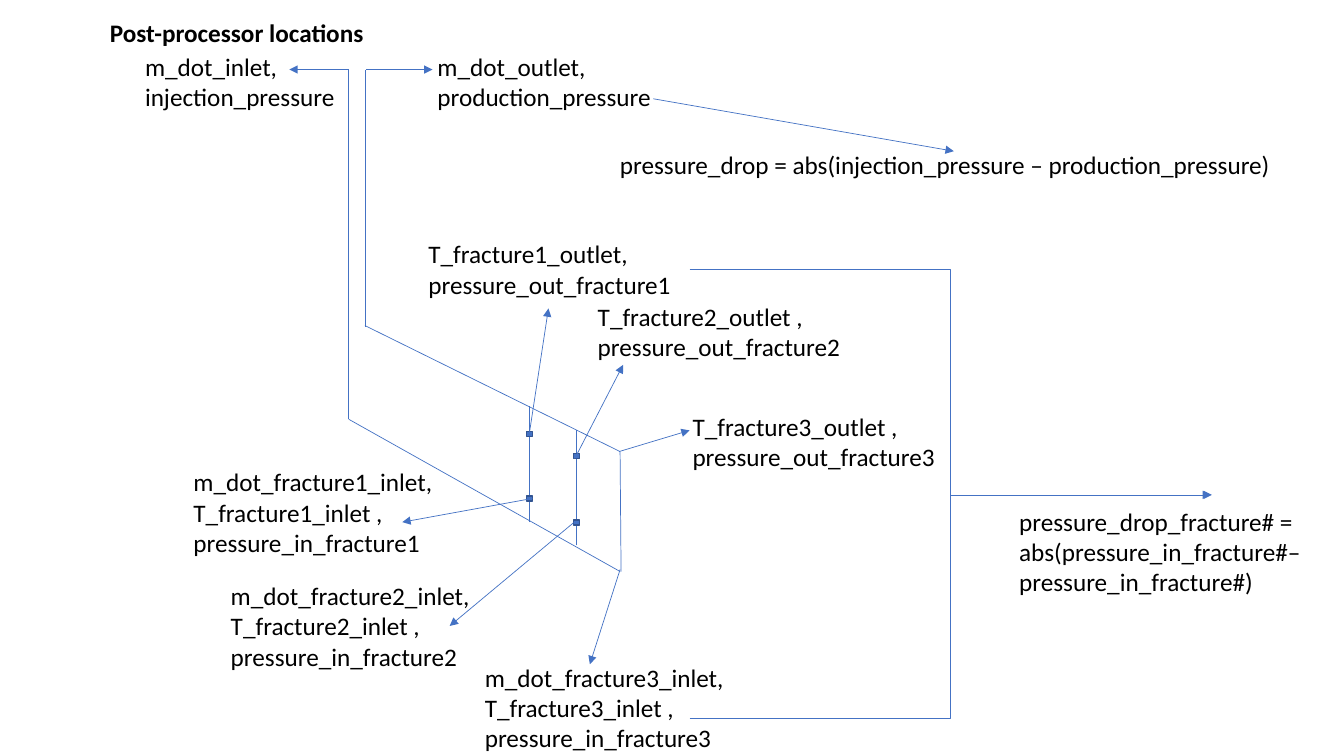
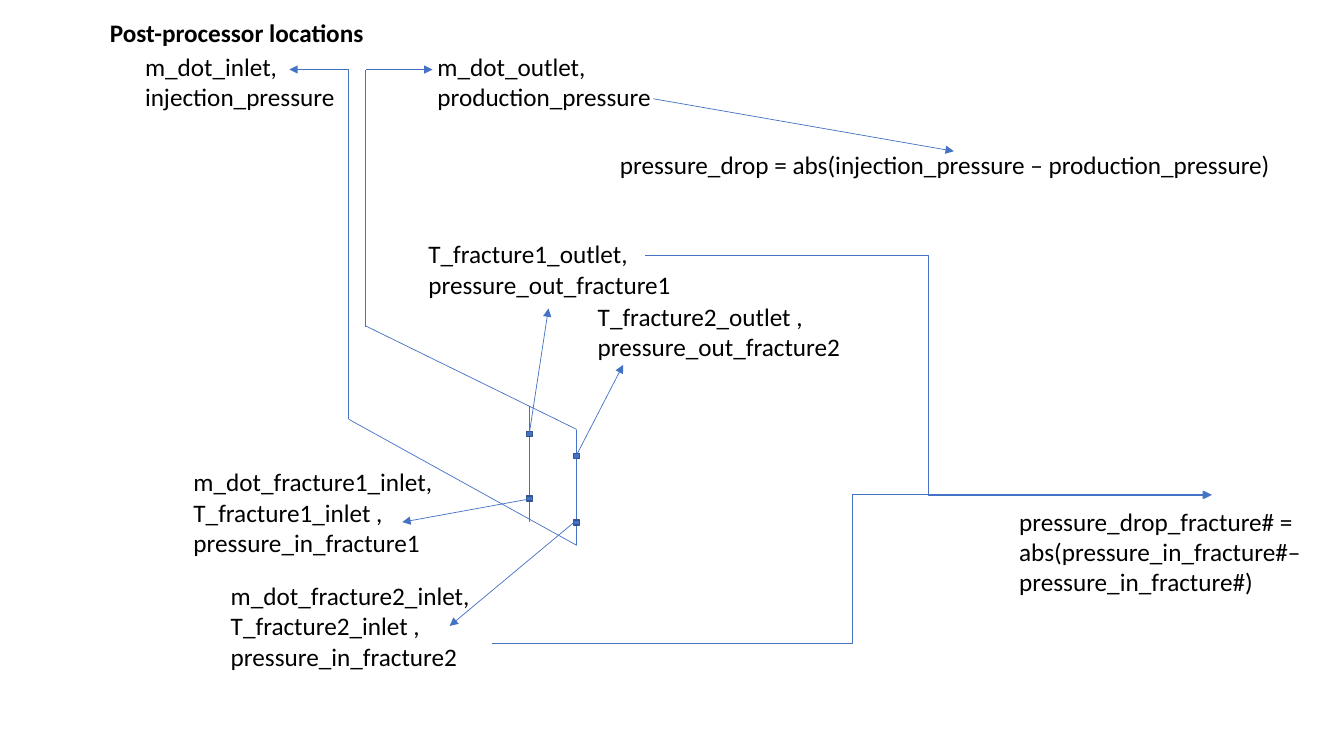
from lxml.etree import SubElement
from pptx import Presentation
from pptx.dml.color import RGBColor
from pptx.enum.shapes import MSO_CONNECTOR, MSO_SHAPE
from pptx.enum.text import MSO_ANCHOR, MSO_AUTO_SIZE, PP_ALIGN
from pptx.oxml.ns import qn
from pptx.util import Inches, Pt

BLUE, EDGE, BLACK = "4472C4", "325491", "000000"
LEFT, RIGHT = 1, 3
LINE_H, PAD_H = 0.3, 0.1


def rgb(value):
    return RGBColor.from_string(value)


class Deck:
    font = {"name": "Calibri", "size": Pt(18), "bold": False}
    frame = {"word_wrap": True, "auto_size": MSO_AUTO_SIZE.SHAPE_TO_FIT_TEXT,
             "vertical_anchor": MSO_ANCHOR.TOP}

    def __init__(self):
        self.prs = Presentation()
        self.prs.slide_width = Inches(13.33)
        self.prs.slide_height = Inches(7.5)
        self.s = None

    def slide(self, title):
        self.s = self.prs.slides.add_slide(self.prs.slide_layouts[5])
        sp = self.s.shapes.title
        box = {"left": 0.99, "top": 0.12, "width": 5.86, "height": 0.4}
        for name, value in box.items():
            setattr(sp, name, Inches(value))
        self.fill_text(sp.text_frame, [title], bold=True)

    def fill_text(self, tf, lines, **extra):
        for name, value in self.frame.items():
            setattr(tf, name, value)
        tf.text = "\n".join(lines)
        for p in tf.paragraphs:
            p.alignment = PP_ALIGN.LEFT
            for r in p.runs:
                for name, value in {**self.font, **extra}.items():
                    setattr(r.font, name, value)
                r.font.color.rgb = rgb(BLACK)

    def label(self, x, y, w, rows, *lines):
        box = map(Inches, (x, y, w, PAD_H + rows * LINE_H))
        self.fill_text(self.s.shapes.add_textbox(*box).text_frame, lines)

    def marker(self, x, y):
        sp = self.s.shapes.add_shape(MSO_SHAPE.RECTANGLE, *map(Inches, (x, y, 0.06, 0.05)))
        sp.shadow.inherit = False
        sp.fill.solid()
        sp.fill.fore_color.rgb = rgb(BLUE)
        sp.line.color.rgb = rgb(EDGE)
        sp.line.width = Pt(1)
        return sp

    def line(self, start, end, arrow=False, kind=MSO_CONNECTOR.STRAIGHT):
        cxn = self.s.shapes.add_connector(kind, *map(Inches, (*start, *end)))
        cxn.line.color.rgb = rgb(BLUE)
        cxn.line.width = Pt(0.5)
        props = cxn._element.spPr
        if arrow:
            SubElement(props.find(qn("a:ln")), qn("a:tailEnd"), type="triangle")
        SubElement(props, qn("a:effectLst"))
        return cxn

    def arrow(self, start, end):
        return self.line(start, end, arrow=True)

    def elbow(self, start, end):
        return self.line(start, end, arrow=True, kind=MSO_CONNECTOR.ELBOW)

    def inlet_label(self, x, y, number):
        self.label(x, y, 2.69, 3, f"m_dot_fracture{number}_inlet,",
                   f"T_fracture{number}_inlet , pressure_in_fracture{number}")

    def outlet_label(self, x, y, number, comma=" ,"):
        self.label(x, y, 2.69, 2,
                   f"T_fracture{number}_outlet{comma} pressure_out_fracture{number}")


def draw_wells(deck, inlet_end, outlet_end):
    deck.line((3.46, 0.69), (3.46, 4.16))
    deck.line((3.46, 4.16), inlet_end)
    deck.line(outlet_end, (3.62, 3.23))
    deck.line((3.62, 3.24), (3.62, 0.69))
    deck.arrow((3.46, 0.69), (2.87, 0.69))
    deck.arrow((3.63, 0.69), (4.29, 0.69))
    deck.label(1.34, 0.46, 2.44, 2, "m_dot_inlet,", "injection_pressure")
    deck.label(4.24, 0.46, 2.52, 2, "m_dot_outlet, production_pressure")
    deck.arrow((6.48, 0.98), (9.46, 1.5))
    deck.label(6.05, 1.43, 6.81, 1,
               "pressure_drop = abs(injection_pressure – production_pressure)")


def draw_fractures(deck):
    deck.line((5.72, 5.41), (5.72, 4.27))
    deck.line((5.25, 5.18), (5.25, 4.03))
    deck.marker(5.69, 4.5)
    deck.marker(5.22, 4.28)
    inlet1 = deck.marker(5.22, 4.92)
    inlet2 = deck.marker(5.69, 5.16)
    deck.arrow((5.28, 4.94), (3.99, 5.18)).begin_connect(inlet1, RIGHT)
    deck.arrow((5.69, 5.18), (4.46, 6.21)).begin_connect(inlet2, LEFT)
    deck.arrow((5.25, 4.3), (5.44, 3.06))
    deck.arrow((5.7, 4.55), (6.18, 3.62))
    deck.inlet_label(1.82, 4.58, 1)
    deck.inlet_label(2.19, 5.71, 2)
    deck.outlet_label(4.15, 2.32, 1, comma=",")
    deck.outlet_label(5.83, 2.94, 2)


def draw_third_fracture(deck):
    deck.line((6.16, 5.67), (6.15, 4.48))
    deck.arrow((6.15, 5.65), (5.85, 6.59))
    deck.arrow((6.14, 4.48), (6.84, 4.27))
    deck.inlet_label(4.71, 6.52, 3)
    deck.outlet_label(6.77, 4.03, 3)


def draw_pressure_drop(deck, outlet_start, inlet_start):
    deck.elbow(outlet_start, (12.01, 4.91))
    deck.elbow(inlet_start, (12.02, 4.91))
    deck.label(10.01, 4.97, 3.32, 3,
               "pressure_drop_fracture# = abs(pressure_in_fracture#– pressure_in_fracture#)")


def main():
    deck = Deck()
    layouts = [
        (True, (6.15, 5.67), (6.15, 4.48), (6.84, 2.67), (6.84, 7.13)),
        (False, (5.72, 5.41), (5.72, 4.26), (6.4, 2.53), (4.88, 6.38)),
    ]
    for third, inlet_end, outlet_end, outlet_start, inlet_start in layouts:
        deck.slide("Post-processor locations")
        draw_wells(deck, inlet_end, outlet_end)
        draw_fractures(deck)
        if third:
            draw_third_fracture(deck)
        draw_pressure_drop(deck, outlet_start, inlet_start)
    deck.prs.save("out.pptx")


if __name__ == "__main__":
    main()
